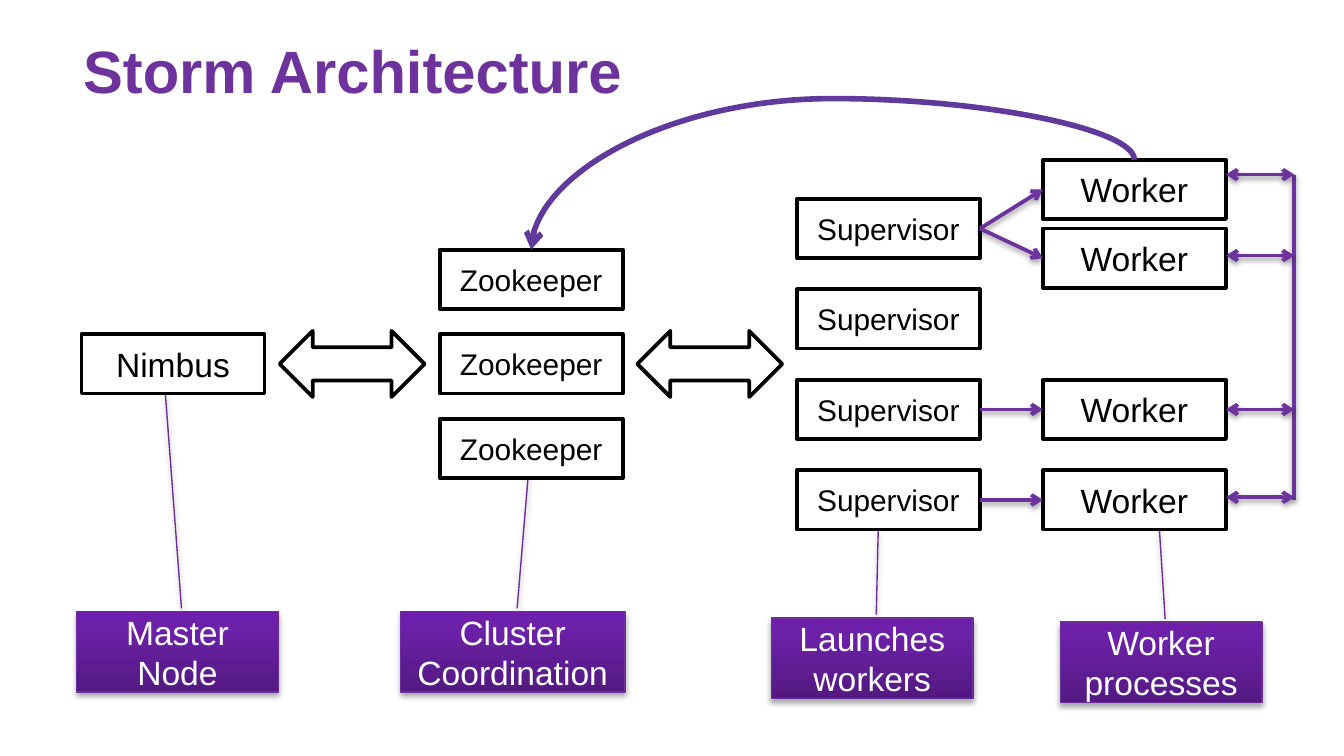
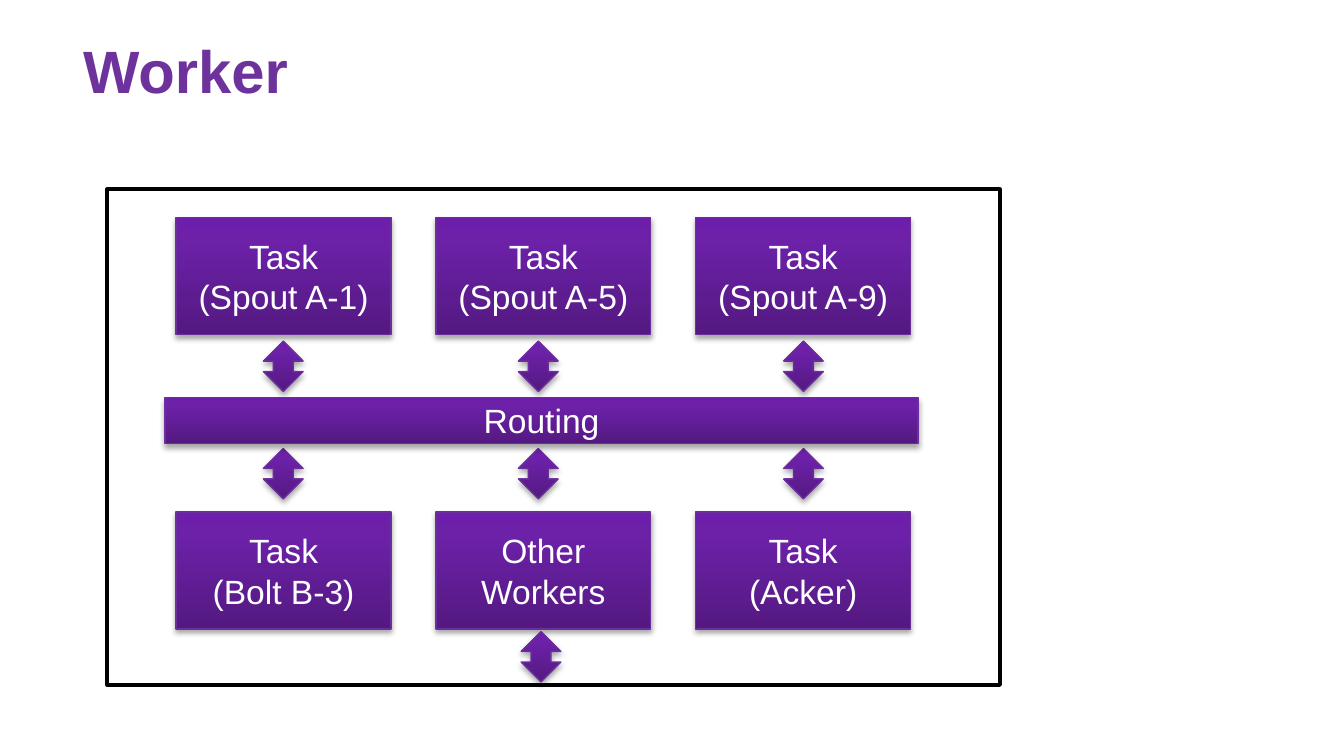
"""Build two slides on the Storm architecture and its workers."""
from copy import deepcopy
from dataclasses import dataclass

from lxml.etree import SubElement
from pptx import Presentation
from pptx.dml.color import RGBColor
from pptx.enum.shapes import MSO_CONNECTOR as LINK, MSO_SHAPE as SHAPE
from pptx.enum.text import MSO_ANCHOR as ANCHOR, MSO_AUTO_SIZE as FIT, PP_ALIGN as ALIGN
from pptx.oxml.ns import qn
from pptx.util import Cm, Pt


@dataclass(frozen=True)
class Theme:
    font: str = "Arial"
    purple: str = "6E329D"
    curve: str = "61399D"
    edge: str = "6C2E9C"
    black: str = "000000"
    white: str = "FFFFFF"
    gradient: tuple = ((0, "541981"), (0.8, "6C21A8"), (1, "6D1EAB"))
    title_size: int = 32
    body_size: int = 18
    node_size: int = 16
    thin: float = 0.75
    medium: float = 2
    thick: float = 3


THEME = Theme()
NODE_W, NODE_H = 3.46, 1.12
NIMBUS = (1.54, 6.32)
ZOOKEEPERS = {"left": 8.31, "top": 4.72, "pitch": 1.6, "count": 3}
SUPERVISORS = {"left": 15.06, "top": 3.76, "pitch": 1.71, "count": 4}
WORKER_LEFT, BUS_X = 19.71, 24.46
BUS_SPAN = (3.3, 9.45)
WORKERS = [  # top, supervisor, tap height
    (3.02, 0, 3.3), (4.32, 0, 4.83), (7.18, 2, 7.74), (8.89, 3, 9.4),
]
ARROW_W, ARROW_H = 2.74, 1.25
CURVE_RISE = -0.68
CALLOUT_H = 1.52
CALLOUTS = [
    ("Master Node", 1.45, 11.56, 3.81, (-2.71, 0.44)),
    ("Cluster Coordination", 7.57, 11.56, 4.24, (-1.71, 0.57)),
    ("Launches workers", 14.58, 11.68, 3.81, (-1.1, 0.53)),
    ("Worker processes", 20.04, 11.76, 3.81, (-1.22, 0.49)),
]

FRAME = (2.03, 3.58, 16.87, 9.37)
TASK_ROWS = [
    (4.11, ["Task\n(Spout A-1)", "Task\n(Spout A-5)", "Task\n(Spout A-9)"]),
    (9.68, ["Task\n(Bolt B-3)", "Other Workers", "Task\n(Acker)"]),
]
TASK_LEFT, TASK_PITCH, TASK_W, TASK_H = 3.33, 4.91, 4.06, 2.21
ROUTING = (3.12, 7.51, 14.23, 0.87)
EXCHANGE_LEFTS, EXCHANGE_TOPS = (4.98, 9.8, 14.81), (6.45, 8.48)
OUTSIDE_EXCHANGE = (9.85, 11.94)
EXCHANGE_W, EXCHANGE_H = 0.75, 0.95


def rgb(value):
    """Return a colour from its hex form."""
    return RGBColor.from_string(value)


def write(shape, text, size=THEME.body_size, color=THEME.white, bold=False, align=ALIGN.CENTER):
    """Fill a shape with one paragraph for each line of text."""
    frame = shape.text_frame
    frame.word_wrap = True
    for index, line in enumerate(text.split("\n")):
        paragraph = frame.paragraphs[0] if index == 0 else frame.add_paragraph()
        paragraph.alignment = align
        run = paragraph.add_run()
        run.text = line
        run.font.name, run.font.size, run.font.bold = THEME.font, Pt(size), bold
        run.font.color.rgb = rgb(color)


def cast_shadow(effects, alpha, distance):
    """Add a soft downward shadow to an effect list."""
    outer = SubElement(effects, qn("a:outerShdw"), blurRad=str(Pt(3.1)),
                       dist=str(Pt(distance)), dir="5400000", rotWithShape="0")
    color = SubElement(outer, qn("a:srgbClr"), val=THEME.black)
    SubElement(color, qn("a:alpha"), val=str(alpha * 1000))


def outlined(slide, left, top, width, height, kind=SHAPE.RECTANGLE):
    """Draw a white shape with a black outline."""
    shape = slide.shapes.add_shape(kind, Cm(left), Cm(top), Cm(width), Cm(height))
    shape.shadow.inherit = False
    shape.fill.solid()
    shape.fill.fore_color.rgb = rgb(THEME.white)
    shape.line.color.rgb = rgb(THEME.black)
    shape.line.width = Pt(THEME.medium)
    return shape


def glossy(slide, left, top, width, height, kind=SHAPE.RECTANGLE):
    """Draw a purple gradient shape with a shadow."""
    shape = outlined(slide, left, top, width, height, kind)
    shape.line.color.rgb = rgb(THEME.edge)
    shape.line.width = Pt(THEME.thin)
    shape.fill.gradient()
    shape.fill.gradient_angle = 90
    properties = shape.element.spPr
    stops = properties.find(".//" + qn("a:gsLst"))
    stops.insert(1, deepcopy(stops[0]))
    for stop, (position, color) in zip(shape.fill.gradient_stops, THEME.gradient):
        stop.position = position
        stop.color.rgb = rgb(color)
    cast_shadow(properties.find(qn("a:effectLst")), 35, 1.8)
    return shape


def link(slide, start, end, kind=LINK.STRAIGHT, color=THEME.purple, width=THEME.medium,
         ends=(), shadow=True):
    """Draw a connector with optional arrowheads and shadow."""
    connector = slide.shapes.add_connector(kind, *(Cm(value) for value in (*start, *end)))
    connector.line.color.rgb = rgb(color)
    connector.line.width = Pt(width)
    properties = connector.element.spPr
    for end_name in ends:
        SubElement(properties.find(qn("a:ln")), qn(f"a:{end_name}End"), type="arrow")
    effects = SubElement(properties, qn("a:effectLst"))
    if shadow:
        cast_shadow(effects, 38, 1.6)
    return connector


def curve_over(slide, start, end):
    """Arch a curved arrow from one top edge to another."""
    middle_x, middle_y = (start[0] + end[0]) / 2, (start[1] + end[1]) / 2
    half_w, half_h = abs(end[1] - start[1]) / 2, abs(end[0] - start[0]) / 2
    curve = link(slide, (middle_x + half_w, middle_y + half_h),
                 (middle_x - half_w, middle_y - half_h), kind=LINK.CURVE,
                 color=THEME.curve, width=THEME.thick, ends=("tail",), shadow=False)
    properties = curve.element.spPr
    properties.find(qn("a:xfrm")).set("rot", "16200000")
    SubElement(properties.find(".//" + qn("a:avLst")), qn("a:gd"), name="adj1",
               fmla=f"val {round(CURVE_RISE * 100000)}")


def node(slide, text, left, top, size=THEME.body_size):
    """Draw a labelled node of the cluster."""
    shape = outlined(slide, left, top, NODE_W, NODE_H)
    write(shape, text, size=size, color=THEME.black)
    return shape


def node_column(slide, text, left, top, pitch, count):
    """Stack equal nodes at a fixed pitch."""
    return [node(slide, text, left, top + row * pitch, THEME.node_size) for row in range(count)]


def titled_slide(deck, text):
    """Add a slide with its formatted title."""
    slide = deck.slides.add_slide(deck.slide_layouts[5])
    title = slide.shapes.title
    title.left, title.top, title.width, title.height = Cm(1.32), Cm(0), Cm(22.81), Cm(1.6)
    frame = title.text_frame
    frame.auto_size, frame.vertical_anchor = FIT.NONE, ANCHOR.TOP
    frame.margin_left = frame.margin_right = Cm(0.25)
    frame.margin_top, frame.margin_bottom = Cm(0.64), Cm(0)
    write(title, text, size=THEME.title_size, color=THEME.purple, bold=True, align=ALIGN.LEFT)
    return slide


def build_architecture(deck):
    """Build the cluster diagram."""
    slide = titled_slide(deck, "Storm Architecture")
    for text, left, top, width, target in CALLOUTS:
        callout = glossy(slide, left, top, width, CALLOUT_H, SHAPE.LINE_CALLOUT_1)
        for index, value in enumerate((-0.04, 0.52, *target)):
            callout.adjustments[index] = value
        write(callout, text)

    node(slide, "Nimbus", *NIMBUS)
    node_column(slide, "Zookeeper", **ZOOKEEPERS)
    supervisors = node_column(slide, "Supervisor", **SUPERVISORS)
    column_lefts = (NIMBUS[0], ZOOKEEPERS["left"], SUPERVISORS["left"])
    for left, following in zip(column_lefts, column_lefts[1:]):
        outlined(slide, (left + NODE_W + following - ARROW_W) / 2,
                 NIMBUS[1] + (NODE_H - ARROW_H) / 2, ARROW_W, ARROW_H, SHAPE.LEFT_RIGHT_ARROW)

    link(slide, (BUS_X, BUS_SPAN[0]), (BUS_X, BUS_SPAN[1]))
    for top, supervisor, tap_y in WORKERS:
        worker = node(slide, "Worker", WORKER_LEFT, top)
        launch = link(slide, (0, 0), (1, 1), ends=("tail",))
        launch.begin_connect(supervisors[supervisor], 3)
        launch.end_connect(worker, 1)
        tap = link(slide, (BUS_X, tap_y), (WORKER_LEFT + NODE_W, tap_y), ends=("head", "tail"))
        if abs(tap_y - top - NODE_H / 2) < 0.01:
            tap.end_connect(worker, 3)

    curve_over(slide, (WORKER_LEFT + NODE_W / 2, WORKERS[0][0]),
               (ZOOKEEPERS["left"] + NODE_W / 2, ZOOKEEPERS["top"]))


def build_worker(deck):
    """Build the inside of a worker."""
    slide = titled_slide(deck, "Worker")
    outlined(slide, *FRAME)
    for top, tasks in TASK_ROWS:
        for column, text in enumerate(tasks):
            write(glossy(slide, TASK_LEFT + column * TASK_PITCH, top, TASK_W, TASK_H), text)
    exchanges = [(left, top) for top in EXCHANGE_TOPS for left in EXCHANGE_LEFTS]
    for left, top in [*exchanges, OUTSIDE_EXCHANGE]:
        glossy(slide, left, top, EXCHANGE_W, EXCHANGE_H, SHAPE.UP_DOWN_ARROW)
    write(glossy(slide, *ROUTING), "Routing")


def main():
    """Build and save the deck."""
    deck = Presentation()
    deck.slide_width, deck.slide_height = Cm(25.4), Cm(14.29)
    build_architecture(deck)
    build_worker(deck)
    deck.save("out.pptx")


if __name__ == "__main__":
    main()
